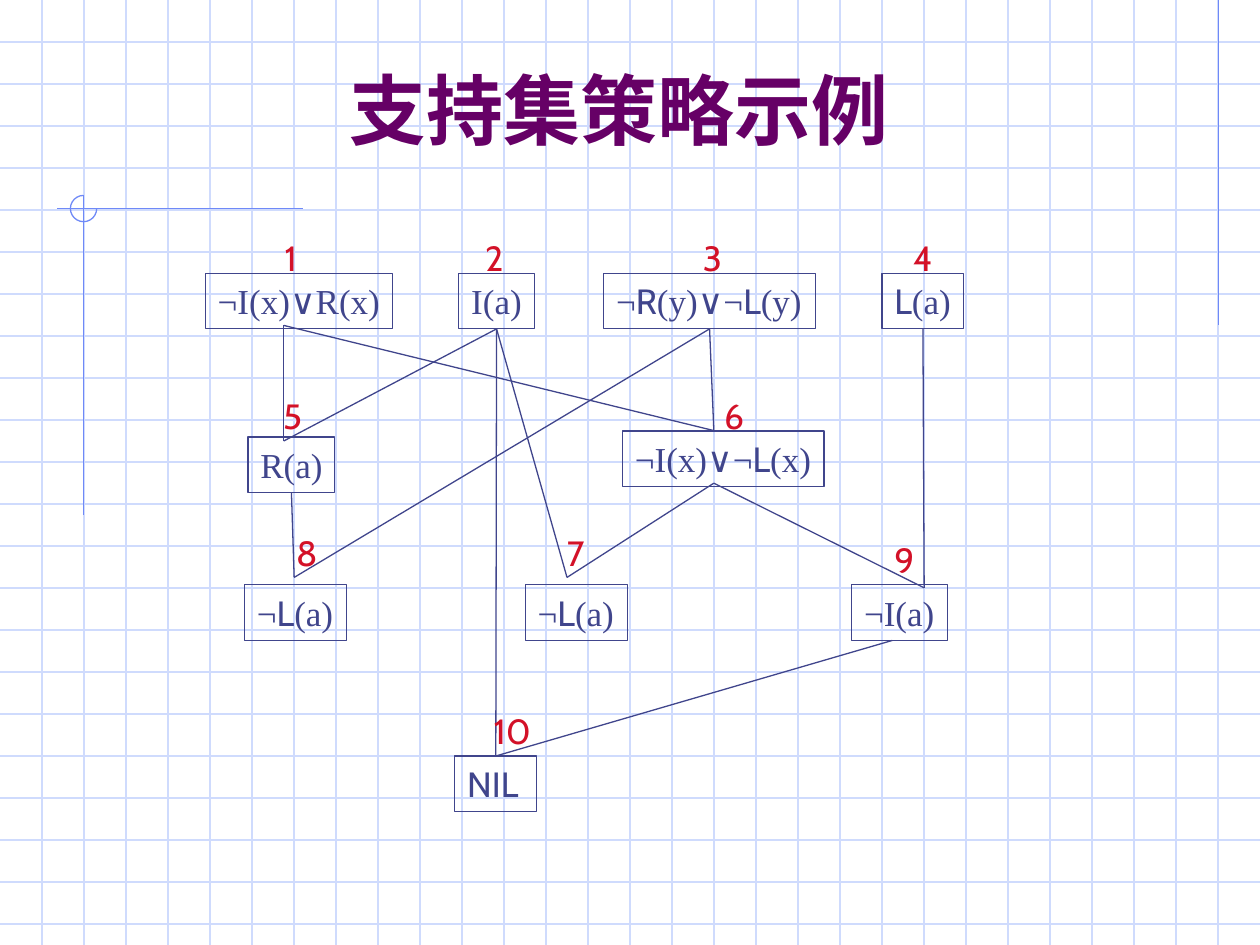
"""Build the slide with the set-of-support resolution graph."""
from lxml import etree
from pptx import Presentation
from pptx.dml.color import RGBColor
from pptx.enum.shapes import MSO_CONNECTOR as Link, MSO_SHAPE as Preset
from pptx.enum.text import MSO_ANCHOR as Anchor, MSO_AUTO_SIZE as AutoSize, PP_ALIGN as Align
from pptx.oxml.ns import qn
from pptx.util import Cm, Pt

WIDTH, HEIGHT, GRID_STEP = 25.4, 19.05, 25.4 / 30
GRID, ACCENT, INK, TITLE, NUMBER = "CFDBFD", "6F89F7", "40458C", "660066", "D31128"
SERIF, SANS = "Times New Roman", "Cabin"
CLAUSE_HEIGHT, JOIN_REACH = 1.12, 0.12
TOP, BOTTOM = 0, 2

HEADING = "支持集策略示例"
ACCENT_LINES = [
    ((24.56, 0), (24.56, 6.55)),
    ((6.1, 4.21), (1.14, 4.21)),
    ((1.69, 3.94), (1.69, 10.39)),
]
# Clause text switches between serif and sans at each bar, starting with serif.
CLAUSES = {
    1: ("¬I(x)|∨|R(x)", 4.14, 5.51, 3.78),
    2: ("I(a)", 9.25, 5.51, 1.52),
    3: ("¬|R|(y)|∨|¬|L|(y)", 12.17, 5.51, 4.27),
    4: ("|L|(a)", 17.78, 5.51, 1.65),
    5: ("R(a)", 5, 8.81, 1.75),
    6: ("¬I(x)|∨|¬|L|(x)", 12.55, 8.69, 4.06),
    7: ("¬|L|(a)", 10.59, 11.79, 2.06),
    8: ("¬|L|(a)", 4.93, 11.79, 2.06),
    9: ("¬I(a)", 17.17, 11.79, 1.93),
    10: ("|NIL", 9.17, 15.24, 1.65),
}
NUMBER_PLACES = {
    1: (5.49, 4.65), 2: (9.53, 4.65), 3: (13.92, 4.65), 4: (18.16, 4.65),
    5: (5.46, 7.82), 6: (14.35, 7.82), 7: (11.18, 10.59), 8: (5.72, 10.59),
    9: (17.78, 10.74), 10: (9.7, 14.17),
}
PORTS = {
    (1, BOTTOM): (5.72, 6.56), (2, BOTTOM): (9.95, 6.56),
    (3, BOTTOM): (14.39, 6.56), (4, BOTTOM): (18.63, 6.56),
    (5, TOP): (5.72, 8.89), (5, BOTTOM): (5.93, 9.95),
    (6, TOP): (14.39, 8.68), (6, BOTTOM): (14.39, 9.74),
    (7, TOP): (11.43, 11.64), (8, TOP): (5.93, 11.64),
    (9, TOP): (18.63, 11.85), (9, BOTTOM): (17.99, 12.91),
    (10, TOP): (9.95, 15.24),
}
RESOLUTIONS = [(2, 10), (1, 5), (2, 5), (1, 6), (3, 6), (5, 8),
               (3, 8), (2, 7), (6, 7), (4, 9), (6, 9), (9, 10)]


def color(value):
    return RGBColor.from_string(value)


def write(shape, text, *, fonts=(SANS,), size=20, ink=INK, bold=False,
          align=Align.LEFT, anchor=Anchor.TOP, wrap=False):
    frame = shape.text_frame
    frame.word_wrap, frame.auto_size = wrap, AutoSize.NONE
    frame.vertical_anchor = anchor
    paragraph = frame.paragraphs[0]
    paragraph.alignment = align
    for index, part in enumerate(text.split("|")):
        if part:
            run = paragraph.add_run()
            run.text = part
            run.font.name = fonts[index % len(fonts)]
            run.font.size, run.font.bold = Pt(size), bold
            run.font.color.rgb = color(ink)


def outline(shape, ink):
    shape.line.color.rgb = color(ink)
    shape.line.width = Pt(0.75)


def draw_line(shapes, start, end, ink):
    line = shapes.add_connector(Link.STRAIGHT, *map(Cm, (*start, *end)))
    outline(line, ink)
    etree.SubElement(line._element.spPr, qn("a:effectLst"))
    return line


def draw_outline_shape(shapes, preset, place, ink):
    shape = shapes.add_shape(preset, *map(Cm, place))
    shape.shadow.inherit = False
    shape.fill.background()
    outline(shape, ink)
    return shape


def meets_middle(port):
    number, side = port
    _, left, top, width = CLAUSES[number]
    x, y = PORTS[port]
    edge = top + (CLAUSE_HEIGHT if side == BOTTOM else 0)
    return max(abs(x - left - width / 2), abs(y - edge)) < JOIN_REACH


def draw_background(shapes):
    for row in range(1, 23):
        y = row * GRID_STEP
        draw_line(shapes, (0, y), (WIDTH, y), GRID)
    for column in range(1, 30):
        x = column * GRID_STEP
        draw_line(shapes, (x, 0), (x, HEIGHT), GRID)
    for start, end in ACCENT_LINES:
        draw_line(shapes, start, end, ACCENT)
    arc = draw_outline_shape(shapes, Preset.ARC, (1.42, 3.94, 0.53, 0.53), ACCENT)
    arc.adjustments[0], arc.adjustments[1] = 0, 162


def draw_graph(shapes):
    boxes = {}
    for number, (clause, left, top, width) in CLAUSES.items():
        place = (left, top, width, CLAUSE_HEIGHT)
        boxes[number] = draw_outline_shape(shapes, Preset.RECTANGLE, place, INK)
        write(boxes[number], clause, fonts=(SERIF, SANS))
    for parent, child in RESOLUTIONS:
        start, end = (parent, BOTTOM), (child, TOP)
        line = draw_line(shapes, PORTS[start], PORTS[end], INK)
        if meets_middle(start):
            line.begin_connect(boxes[parent], BOTTOM)
        if meets_middle(end):
            line.end_connect(boxes[child], TOP)
    for number, (left, top) in NUMBER_PLACES.items():
        width = 0.91 if number < 10 else 1.32
        label = shapes.add_textbox(*map(Cm, (left, top, width, CLAUSE_HEIGHT)))
        write(label, str(number), ink=NUMBER)


def main():
    deck = Presentation()
    deck.slide_width, deck.slide_height = Cm(WIDTH), Cm(HEIGHT)
    shapes = deck.slides.add_slide(deck.slide_layouts[6]).shapes
    draw_background(shapes)
    heading = shapes.add_textbox(*map(Cm, (1.69, 0.91, 21.59, 2.34)))
    write(heading, HEADING, size=44, ink=TITLE, bold=True,
          align=Align.CENTER, anchor=Anchor.BOTTOM, wrap=True)
    draw_graph(shapes)
    deck.save("out.pptx")


if __name__ == "__main__":
    main()
